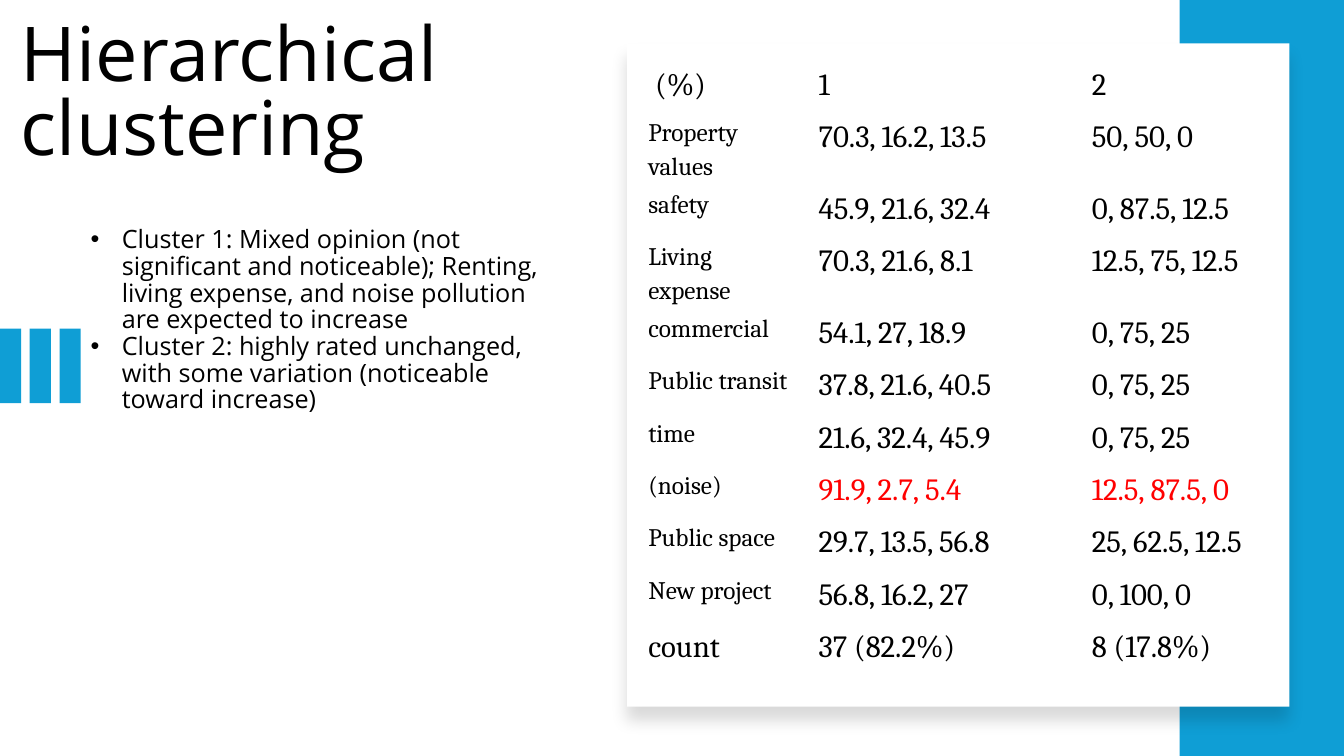
import pptx
import pptx.util
import pptx.dml.color
import pptx.enum.shapes
import pptx.enum.text
from dataclasses import dataclass
from lxml import etree

TITLE = "Hierarchical clustering"
FINDINGS = [
    "Cluster 1: Mixed opinion (not significant and noticeable); Renting, living expense, and noise pollution are expected to increase",
    "Cluster 2: highly rated unchanged, with some variation (noticeable toward increase)",
]
HEADER = (" (%)", "1", "2")
RATINGS = [
    ("Property values", "70.3, 16.2, 13.5", "50, 50, 0"),
    ("safety", "45.9, 21.6, 32.4", "0, 87.5, 12.5"),
    ("Living expense", "70.3, 21.6, 8.1", "12.5, 75, 12.5"),
    ("commercial", "54.1, 27, 18.9", "0, 75, 25"),
    ("Public transit", "37.8, 21.6, 40.5", "0, 75, 25"),
    ("time", "21.6, 32.4, 45.9", "0, 75, 25"),
    ("(noise)", "91.9, 2.7, 5.4", "12.5, 87.5, 0"),
    ("Public space", "29.7, 13.5, 56.8", "25, 62.5, 12.5"),
    ("New project", "56.8, 16.2, 27", "0, 100, 0"),
]
TOTAL = ("count", "37 (82.2%)", "8 (17.8%)")
HIGHLIGHTED = "(noise)"


@dataclass(frozen=True)
class Theme:
    accent: str = "0F9ED5"
    paper: str = "FFFFFF"
    ink: str = "000000"
    alert: str = "FF0000"
    sans: str = "Open Sans"
    serif: str = "Cambria"
    title: int = 54
    body: int = 18
    figure: int = 22


THEME = Theme()
WIDTH, HEIGHT = 13.33, 7.5
BAND_LEFT = 11.7
BAR_COUNT, BAR_PITCH, BAR_WIDTH = 3, 0.295, 0.21
BAR_TOP, BAR_HEIGHT = 3.26, 0.74
CARD = (6.22, 0.43, 6.57, 6.58)
TABLE_LEFT, TABLE_TOP, ROW_HEIGHT = 6.28, 0.6, 0.52
COLUMNS = (1.69, 2.71, 2.64)
PLAIN_TABLE = "{2D5ABB26-0587-4C30-8999-92F81FD0307C}"
DRAWING = "http://schemas.openxmlformats.org/drawingml/2006/main"

inches = pptx.util.Inches
points = pptx.util.Pt


def color(value):
    return pptx.dml.color.RGBColor.from_string(value)


def add_element(parent, tag, **attributes):
    return etree.SubElement(parent, f"{{{DRAWING}}}{tag}", attributes)


def add_block(shapes, bounds, fill):
    block = shapes.add_shape(pptx.enum.shapes.MSO_SHAPE.RECTANGLE, *map(inches, bounds))
    block.shadow.inherit = False
    block.fill.solid()
    block.fill.fore_color.rgb = color(fill)
    block.line.fill.background()
    return block


def add_soft_shadow(block):
    effects = block._element.spPr.find(f"{{{DRAWING}}}effectLst")
    shadow = add_element(effects, "outerShdw", blurRad=str(points(11)), dist=str(points(10)),
                         dir="5400000", algn="t", rotWithShape="0")
    shade = add_element(shadow, "srgbClr", val=THEME.ink)
    add_element(shade, "alpha", val="15000")


def style(para, face, size, ink, spacing):
    para.font.name = face
    para.font.size = points(size)
    para.font.color.rgb = color(ink)
    para.line_spacing = spacing


def add_text(page, bounds, lines, size, spacing, bulleted=False):
    box = page.shapes.add_textbox(*map(inches, bounds))
    frame = box.text_frame
    frame.word_wrap = True
    frame.vertical_anchor = pptx.enum.text.MSO_ANCHOR.TOP
    frame.text = "\n".join(lines)
    for para in frame.paragraphs:
        style(para, THEME.sans, size, THEME.ink, spacing)
        if bulleted:
            settings = para._p.get_or_add_pPr()
            settings.set("marL", str(inches(0.31)))
            settings.set("indent", str(-inches(0.31)))
            bullet_font = add_element(settings, "buFont", typeface="Arial")
            bullet = add_element(settings, "buChar", char="•")
            run_defaults = settings.find(f"{{{DRAWING}}}defRPr")
            run_defaults.addprevious(bullet_font)
            run_defaults.addprevious(bullet)
    return frame


def fill_cell(cell, text, size, ink):
    cell.fill.background()
    cell.margin_left = cell.margin_right = inches(0.15)
    cell.margin_top, cell.margin_bottom = inches(0.02), 0
    cell.text = text
    para = cell.text_frame.paragraphs[0]
    style(para, THEME.serif, size, ink, 1.15)
    para.space_after = points(10)


def add_ratings(page):
    rows = [HEADER, *RATINGS, TOTAL]
    bounds = (TABLE_LEFT, TABLE_TOP, sum(COLUMNS), len(rows) * ROW_HEIGHT)
    table = page.shapes.add_table(len(rows), len(COLUMNS), *map(inches, bounds)).table
    table.first_row = table.horz_banding = False
    table._tbl.tblPr.find(f"{{{DRAWING}}}tableStyleId").text = PLAIN_TABLE
    for column, width in zip(table.columns, COLUMNS):
        column.width = inches(width)
    for row_index, values in enumerate(rows):
        table.rows[row_index].height = inches(ROW_HEIGHT)
        for column_index, text in enumerate(values):
            is_label = column_index == 0 and values in RATINGS
            is_alert = column_index > 0 and values[0] == HIGHLIGHTED
            fill_cell(table.cell(row_index, column_index), text,
                      THEME.body if is_label else THEME.figure,
                      THEME.alert if is_alert else THEME.ink)


def main():
    deck = pptx.Presentation()
    deck.slide_width, deck.slide_height = inches(WIDTH), inches(HEIGHT)
    page = deck.slides.add_slide(deck.slide_layouts[6])

    heading = add_text(page, (0.11, 0.13, 4.41, 1.73), [TITLE], THEME.title, 0.81)
    heading.margin_top = inches(0.1)
    bars = page.shapes.add_group_shape()
    for index in range(BAR_COUNT):
        add_block(bars.shapes, (index * BAR_PITCH, BAR_TOP, BAR_WIDTH, BAR_HEIGHT), THEME.accent)
    add_block(page.shapes, (BAND_LEFT, 0, WIDTH - BAND_LEFT, HEIGHT), THEME.accent)
    add_soft_shadow(add_block(page.shapes, CARD, THEME.paper))
    add_ratings(page)
    add_text(page, (0.8, 2.21, 4.89, 2.22), FINDINGS, THEME.body, 0.88, bulleted=True)

    deck.save("out.pptx")


if __name__ == "__main__":
    main()
